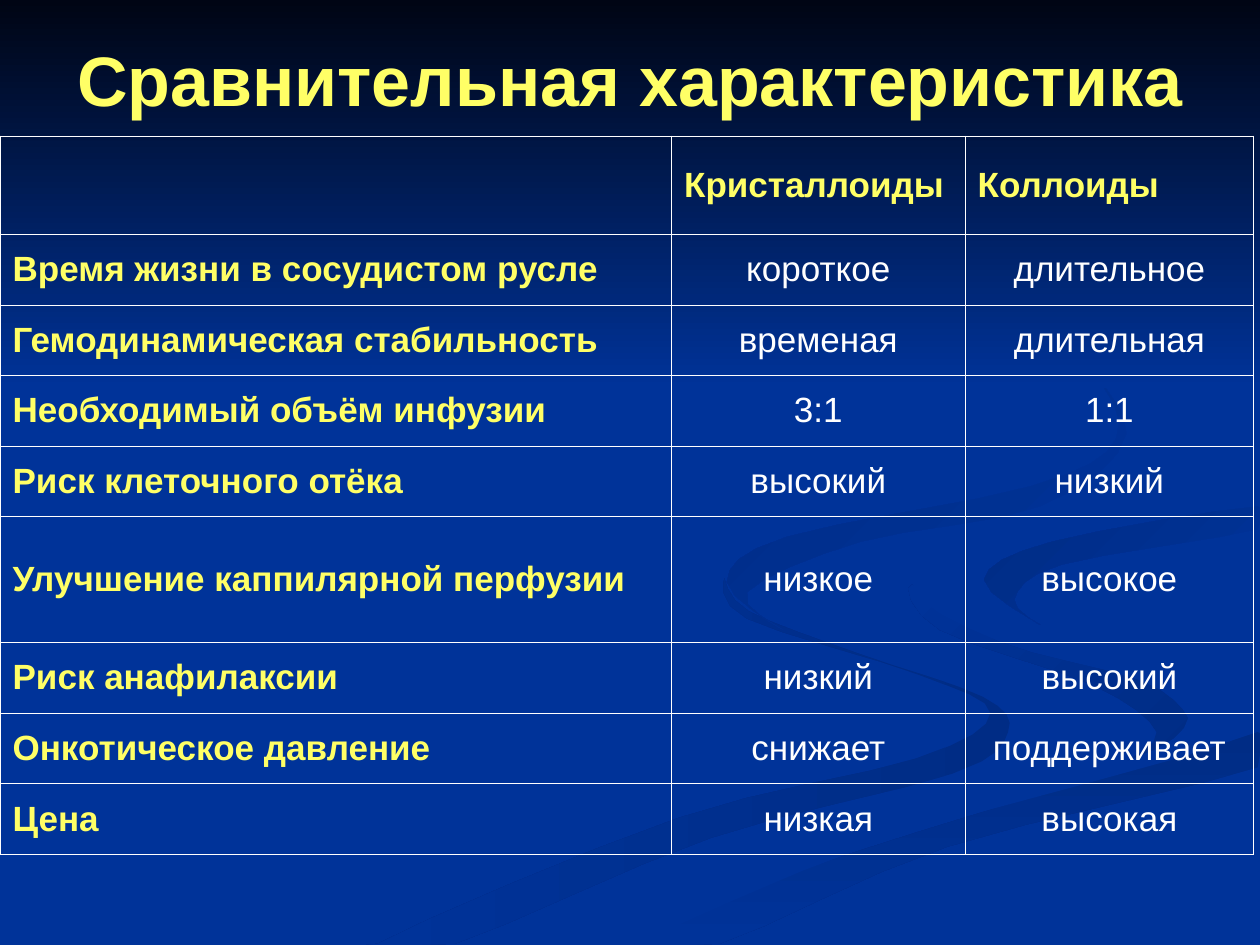
from dataclasses import dataclass

from lxml.etree import SubElement
from pptx import Presentation
from pptx.dml.color import RGBColor
from pptx.enum.shapes import MSO_SHAPE
from pptx.enum.text import MSO_ANCHOR, PP_ALIGN
from pptx.oxml.ns import qn
from pptx.util import Inches, Pt


@dataclass(frozen=True)
class Theme:
    font: str = "Arial"
    title_size: int = 40
    table_size: int = 20
    border_width: float = 0.45
    yellow: str = "FFFF66"
    white: str = "FFFFFF"
    blue: str = "003399"
    shade: str = "002C85"
    night: str = "000514"


theme = Theme()


def paint(shape, start, end, angle):
    """Fill a shape with a linear gradient; the angle runs clockwise."""
    shape.shadow.inherit = False
    shape.line.fill.background()
    shape.fill.gradient()
    shape.fill.gradient_angle = (360 - angle) % 360
    for stop, color in zip(shape.fill.gradient_stops, (start, end)):
        stop.color.rgb = RGBColor.from_string(color)


def write(text_frame, text, size, color, bold, alignment):
    text_frame.text = text
    text_frame.word_wrap = True
    paragraph = text_frame.paragraphs[0]
    paragraph.alignment = alignment
    for run in paragraph.runs:
        run.font.name = theme.font
        run.font.size = Pt(size)
        run.font.bold = bold
        run.font.color.rgb = RGBColor.from_string(color)


presentation = Presentation()
presentation.slide_width = Inches(10)
presentation.slide_height = Inches(7.5)
slide = presentation.slides.add_slide(presentation.slide_layouts[6])
slide.background.fill.solid()
slide.background.fill.fore_color.rgb = RGBColor.from_string(theme.blue)

# Background ribbons: start colour, end colour, angle, outline in inches
ribbons = [
    (theme.shade, theme.blue, 180, [
        (7.8, 5.53), (6.82, 5.19), (5.94, 4.85), (5.75, 4.59), (5.93, 4.91),
        (7.28, 5.35), (7.86, 5.66), (7.27, 6.02), (5.39, 6.49), (3, 7.49),
        (3.61, 7.49), (5.64, 6.65), (7.56, 6.14), (8, 5.81)]),
    (theme.shade, theme.blue, 225, [
        (9.43, 5.7), (9.05, 5.4), (7.92, 5.09), (7.24, 4.64), (7.46, 5),
        (8.68, 5.44), (9.18, 5.81), (8.94, 6.05), (9.32, 5.89)]),
    (theme.shade, theme.blue, 90, [
        (5.03, 7.49), (5.71, 7.49), (7.52, 6.72), (9.98, 6.09), (9.98, 5.81),
        (8.31, 6.29), (6.3, 6.93)]),
    (theme.blue, theme.blue, 0, [
        (7.25, 4.64), (7.93, 5.09), (9.05, 5.4), (9.43, 5.7), (8.92, 6.05),
        (7.04, 6.55), (4.77, 7.49), (5.03, 7.49), (6.96, 6.69), (9.98, 5.81),
        (9.98, 5.38), (8.48, 5.03), (7.82, 4.6), (8.65, 4.24), (9.98, 4.02),
        (9.98, 3.87), (8.08, 4.17)]),
    (theme.blue, theme.shade, 225, [
        (7.81, 4.6), (8.26, 4.96), (8.05, 4.76), (8.43, 4.48), (9.98, 4.2),
        (9.98, 4.02), (8.35, 4.3)]),
    (theme.blue, theme.shade, 225, [
        (6.83, 4.3), (8.25, 4.02), (8.94, 3.44), (8.43, 2.75), (7.62, 2.33),
        (8.62, 2.92), (8.86, 3.48), (8.18, 3.86), (6.25, 4.26), (5.77, 4.62),
        (6.22, 5), (5.93, 4.7)]),
]
slide_limits = (10, 7.5)
curve_steps = 4
for start, end, angle, knots in ribbons:
    # Round the outline with a closed Catmull-Rom curve kept inside the slide
    outline = []
    for index, current in enumerate(knots):
        following = knots[(index + 1) % len(knots)]
        beyond = knots[(index + 2) % len(knots)]
        for step in range(curve_steps):
            t = step / curve_steps
            outline.append(tuple(
                Inches(min(limit, b + t / 2 * (
                    c - a + t * (2 * a - 5 * b + 4 * c - d
                                 + t * (3 * b - 3 * c + d - a)))))
                for a, b, c, d, limit in zip(
                    knots[index - 1], current, following, beyond, slide_limits)))
    builder = slide.shapes.build_freeform(*outline[0])
    builder.add_line_segments(outline[1:], close=True)
    paint(builder.convert_to_shape(), start, end, angle)

# Night sky band across the top
band = slide.shapes.add_shape(MSO_SHAPE.RECTANGLE, 0, 0, Inches(10), Inches(3.08))
paint(band, theme.night, theme.blue, 90)

# Comparison table
rows = [
    ("", "Кристаллоиды", "Коллоиды"),
    ("Время жизни в сосудистом русле", "короткое", "длительное"),
    ("Гемодинамическая стабильность", "временая", "длительная"),
    ("Необходимый объём инфузии", "3:1", "1:1"),
    ("Риск клеточного отёка", "высокий", "низкий"),
    ("Улучшение каппилярной перфузии", "низкое", "высокое"),
    ("Риск анафилаксии", "низкий", "высокий"),
    ("Онкотическое давление", "снижает", "поддерживает"),
    ("Цена", "низкая", "высокая"),
]
column_widths = [5.33, 2.33, 2.29]
row_heights = [0.78] + [0.56] * 4 + [1] + [0.56] * 3
table = slide.shapes.add_table(
    len(rows), len(column_widths), 0, Inches(1.08),
    Inches(sum(column_widths)), Inches(sum(row_heights))).table
table.first_row = False
table.horz_banding = False
for column, width in zip(table.columns, column_widths):
    column.width = Inches(width)
for row, height in zip(table.rows, row_heights):
    row.height = Inches(height)

for row_index, texts in enumerate(rows):
    for column_index, text in enumerate(texts):
        cell = table.cell(row_index, column_index)
        is_label = row_index == 0 or column_index == 0
        write(cell.text_frame, text, theme.table_size,
              theme.yellow if is_label else theme.white, is_label,
              PP_ALIGN.LEFT if is_label else PP_ALIGN.CENTER)
        cell.vertical_anchor = MSO_ANCHOR.MIDDLE
        properties = cell._tc.get_or_add_tcPr()
        for side in ("a:lnL", "a:lnR", "a:lnT", "a:lnB"):
            border = SubElement(properties, qn(side), w=str(Pt(theme.border_width)))
            border_fill = SubElement(border, qn("a:solidFill"))
            SubElement(border_fill, qn("a:srgbClr"), val=theme.white)
        cell.fill.background()

# Title
title = slide.shapes.add_textbox(Inches(0.5), 0, Inches(9), Inches(1.25))
title.text_frame.vertical_anchor = MSO_ANCHOR.MIDDLE
write(title.text_frame, "Сравнительная характеристика", theme.title_size,
      theme.yellow, True, PP_ALIGN.CENTER)

presentation.save("out.pptx")
